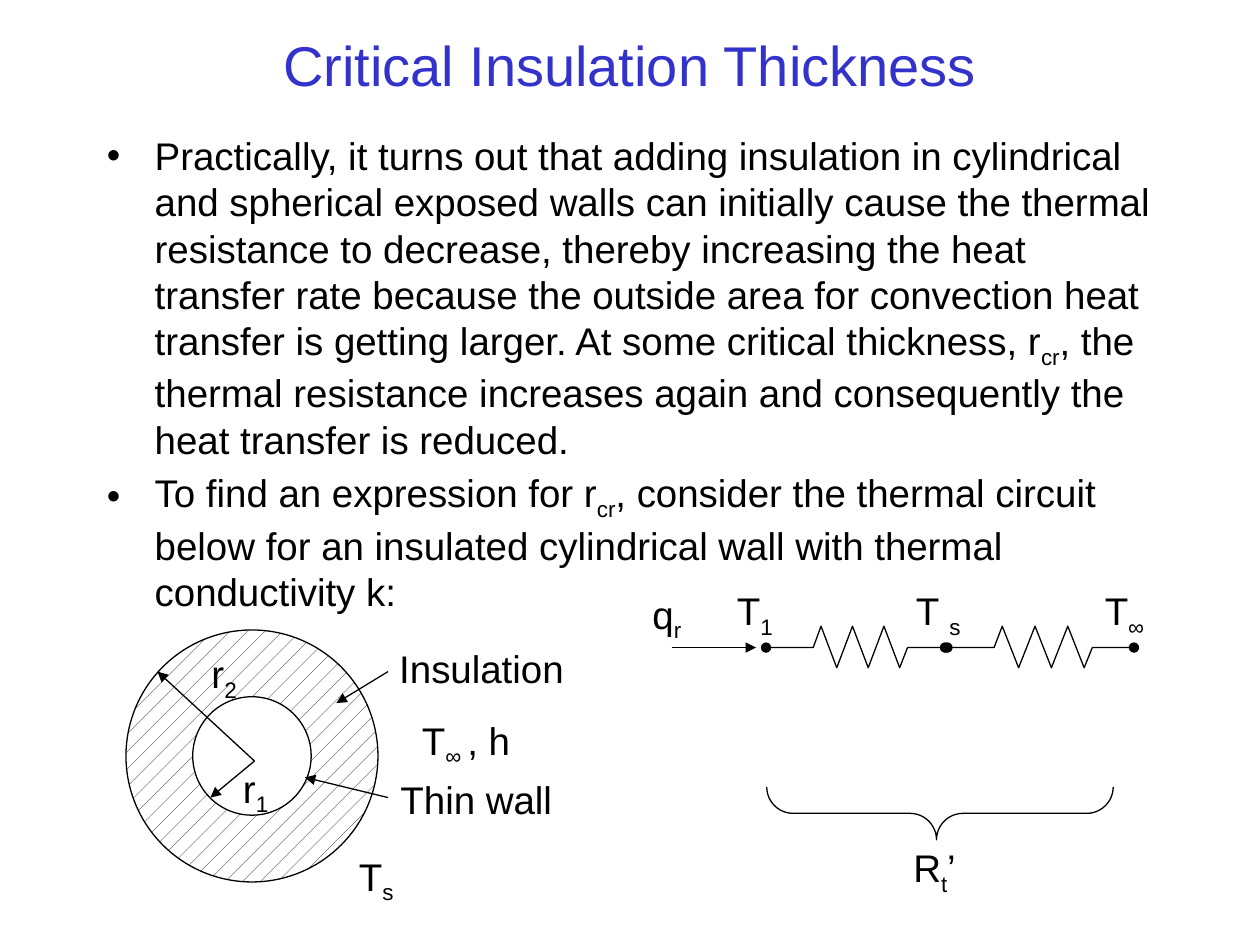
from lxml import etree
from pptx import Presentation
from pptx.dml.color import RGBColor
from pptx.enum import dml, shapes, text
from pptx.oxml import ns
from pptx.util import Inches, Pt

BLACK = RGBColor(0x00, 0x00, 0x00)
WHITE = RGBColor(0xFF, 0xFF, 0xFF)
TITLE_BLUE = RGBColor(0x33, 0x33, 0xCC)
FONT = "Arial"


def write_runs(paragraph, parts, size=22, color=BLACK):
    """Fill a paragraph; every second part is a subscript."""
    for index, part in enumerate(parts):
        run = paragraph.add_run()
        run.text = part
        run.font.name = FONT
        run.font.size = Pt(size)
        run.font.color.rgb = color
        if index % 2:
            run.font._element.set("baseline", "-25000")


def style_line(shape, head=None, tail=None):
    """Thin black outline without shadow, with optional line ends."""
    shape.line.color.rgb = BLACK
    shape.line.width = Pt(0.75)
    line = shape.line._get_or_add_ln()
    for tag, kind in (("a:headEnd", head), ("a:tailEnd", tail)):
        if kind:
            etree.SubElement(line, ns.qn(tag), type=kind)
    etree.SubElement(shape._element.spPr, ns.qn("a:effectLst"))


presentation = Presentation()
presentation.slide_width = Inches(10)
presentation.slide_height = Inches(7.5)
slide = presentation.slides.add_slide(presentation.slide_layouts[6])

# Title
title = slide.shapes.add_textbox(Inches(0.75), Inches(0.17), Inches(8.5), Inches(0.67))
title.text_frame.word_wrap = True
title.text_frame.vertical_anchor = text.MSO_ANCHOR.MIDDLE
title.text_frame.paragraphs[0].alignment = text.PP_ALIGN.CENTER
write_runs(title.text_frame.paragraphs[0], ["Critical Insulation Thickness"], 32, TITLE_BLUE)

# Bulleted body
bullets = [
    ["Practically, it turns out that adding insulation in cylindrical and spherical "
     "exposed walls can initially cause the thermal resistance to decrease, thereby "
     "increasing the heat transfer rate because the outside area for convection heat "
     "transfer is getting larger. At some critical thickness, r", "cr",
     ", the thermal resistance increases again and consequently the heat transfer is reduced."],
    ["To find an expression for r", "cr",
     ", consider the thermal circuit below for an insulated cylindrical wall "
     "with thermal conductivity k:"],
]
body = slide.shapes.add_textbox(Inches(0.75), Inches(1), Inches(8.5), Inches(5.67))
body.text_frame.word_wrap = True
for index, parts in enumerate(bullets):
    if index:
        paragraph = body.text_frame.add_paragraph()
        paragraph.space_before = Pt(4.4)
    else:
        paragraph = body.text_frame.paragraphs[0]
    properties = paragraph._p.get_or_add_pPr()
    properties.set("marL", str(Inches(0.38)))
    properties.set("indent", str(-Inches(0.38)))
    etree.SubElement(properties, ns.qn("a:buFont"), typeface=FONT)
    etree.SubElement(properties, ns.qn("a:buChar"), char="•")
    write_runs(paragraph, parts)

# Hatched insulation ring
ring = slide.shapes.add_shape(
    shapes.MSO_SHAPE.DONUT, Inches(1), Inches(5), Inches(2), Inches(2))
ring.adjustments[0] = 0.265
ring.fill.patterned()
ring.fill.pattern = dml.MSO_PATTERN.PERCENT_5
ring.fill.fore_color.rgb = BLACK
ring.fill.back_color.rgb = WHITE
style_line(ring)

# Arrows: two radii, two pointers, heat flow
arrows = [
    (2.02, 6.04, 1.25, 5.33),
    (2.02, 6.04, 1.67, 6.33),
    (3.08, 5.33, 2.67, 5.58),
    (3.08, 6.33, 2.42, 6.17),
    (5.33, 5.14, 6, 5.14),
]
for ends in arrows:
    arrow = slide.shapes.add_connector(
        shapes.MSO_CONNECTOR.STRAIGHT, *[Inches(value) for value in ends])
    style_line(arrow, tail="triangle")

# Resistors: a lead, six equal zigzag steps, a lead
AXIS, PEAK, TROUGH = 5.14, 4.97, 5.3
for left, width in ((6.08, 1.44), (7.5, 1.5)):
    start = left + 0.26 * width
    step = 0.52 * width / 6
    points = [(start, AXIS)]
    for index in range(6):
        points.append((start + (index + 0.5) * step, TROUGH if index % 2 else PEAK))
    points += [(start + 6 * step, AXIS), (left + width, AXIS)]
    builder = slide.shapes.build_freeform(Inches(left), Inches(AXIS))
    builder.add_line_segments([(Inches(x), Inches(y)) for x, y in points], close=False)
    resistor = builder.convert_to_shape()
    resistor.fill.background()
    style_line(resistor, head="oval", tail="oval")

# Brace under the circuit
brace = slide.shapes.add_shape(
    shapes.MSO_SHAPE.LEFT_BRACE, Inches(7.25), Inches(5.08), Inches(0.42), Inches(2.75))
brace.rotation = 270
brace.adjustments[0] = 0.5
brace.adjustments[1] = 0.49
brace.fill.background()
style_line(brace)

# Labels: left, top, width, parts
labels = [
    (1.58, 5.11, 0.42, ["r", "2"]),
    (1.83, 6.02, 0.42, ["r", "1"]),
    (3.07, 5.07, 1.51, ["Insulation"]),
    (3.08, 6.11, 1.41, ["Thin wall"]),
    (3.25, 5.64, 0.94, ["T", "∞ ", ", h"]),
    (2.75, 6.72, 0.49, ["T", "s"]),
    (5.75, 4.61, 0.51, ["T", "1"]),
    (7.17, 4.61, 0.58, ["T ", "s"]),
    (8.67, 4.61, 0.54, ["T", "∞"]),
    (5.08, 4.64, 0.6, ["q", "r"]),
    (7.15, 6.65, 0.55, ["R", "t", "’"]),
]
for left, top, width, parts in labels:
    label = slide.shapes.add_textbox(Inches(left), Inches(top), Inches(width), Inches(0.47))
    label.text_frame.word_wrap = False
    label.text_frame.auto_size = text.MSO_AUTO_SIZE.SHAPE_TO_FIT_TEXT
    write_runs(label.text_frame.paragraphs[0], parts)

presentation.save("out.pptx")
